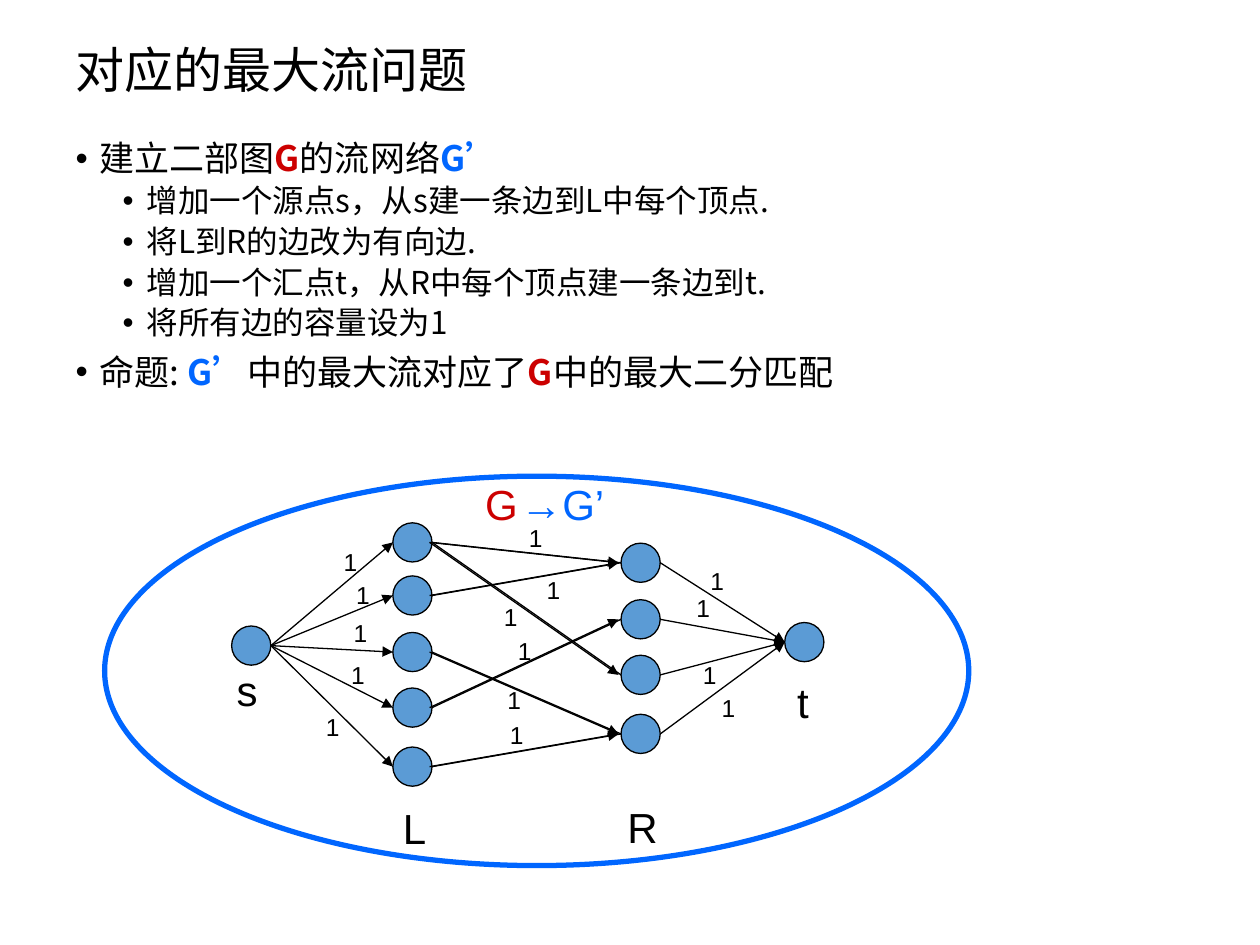
import pptx
import pptx.util
import pptx.enum.shapes
import pptx.enum.text
import pptx.oxml
import pptx.oxml.ns
import pptx.dml.color

Cm, Pt = pptx.util.Cm, pptx.util.Pt
KIND = pptx.enum.shapes.MSO_SHAPE
STRAIGHT = pptx.enum.shapes.MSO_CONNECTOR.STRAIGHT
ALIGN = pptx.enum.text.PP_ALIGN
ANCHOR = pptx.enum.text.MSO_ANCHOR
FIT = pptx.enum.text.MSO_AUTO_SIZE

COLORS = {"black": "000000", "red": "CC0000", "blue": "0066FF", "node": "5B9BD5"}
CJK, LATIN = "Noto Sans CJK SC", "Arial"

# Content: each line is a level and its runs (text, colour)
TITLE = "对应的最大流问题"
LINES = [
    (0, [("建立二部图", "black"), ("G", "red"), ("的流网络", "black"), ("G’", "blue")]),
    (1, [("增加一个源点s，从s建一条边到L中每个顶点.", "black")]),
    (1, [("将L到R的边改为有向边.", "black")]),
    (1, [("增加一个汇点t，从R中每个顶点建一条边到t.", "black")]),
    (1, [("将所有边的容量设为1", "black")]),
    (0, [("命题: ", "black"), ("G’", "blue"), ("中的最大流对应了", "black"),
         ("G", "red"), ("中的最大二分匹配", "black")]),
]
LEVELS = [  # size, space before, left margin in cm
    {"size": 20, "before": 7.5, "left": 0.48},
    {"size": 18, "before": 3.8, "left": 1.43},
]

# Graph: left edge of each column and the tops of its nodes, in cm
SIZE = 0.79
NODES = {
    "s": (4.67, [12.62]),
    "L": (7.92, [10.54, 11.61, 12.75, 13.87, 15.06]),
    "R": (12.52, [10.95, 12.09, 13.21, 14.40]),
    "t": (15.82, [12.55]),
}
MATCH = [(0, 0), (0, 2), (3, 1), (4, 3), (1, 0), (2, 3)]
RING = (2.11, 9.6, 17.42, 7.85)
NAMES = [  # text, left, top, width, colour
    ("s", 4.52, 13.28, 0.99, "black"),
    ("L", 7.87, 16.05, 1.02, "black"),
    ("R", 12.40, 16.03, 1.12, "black"),
    ("t", 15.82, 13.51, 0.79, "black"),
    ("G", 9.53, 9.53, 1.17, "red"),
    ("→G’", 10.24, 9.53, 2.24, "blue"),
]
ONES = [  # places of the capacity labels
    (6.68, 10.90), (6.93, 11.56), (6.88, 12.34), (6.83, 13.18), (6.32, 14.22),
    (10.41, 10.41), (10.77, 11.46), (9.91, 12.01), (10.19, 12.70),
    (9.98, 13.69), (10.03, 14.40),
    (14.30, 13.84), (13.92, 13.18), (13.79, 11.84), (14.07, 11.28),
]


def apply(item, **values):
    for key, value in values.items():
        setattr(item, key, value)


def color(name):
    return pptx.dml.color.RGBColor.from_string(COLORS[name])


def add_tag(parent, tag, **values):
    node = pptx.oxml.parse_xml(f"<a:{tag} {pptx.oxml.ns.nsdecls('a')}/>")
    for key, value in values.items():
        node.set(key, value)
    parent.append(node)


def add_run(para, text, tint, face, size, bold=False):
    run = para.add_run()
    run.text = text
    apply(run.font, name=face, size=Pt(size), bold=bold)
    run.font.color.rgb = color(tint)
    add_tag(run.font._element, "ea", typeface=face)


def place(shape, left, top, width, height):
    apply(shape, left=Cm(left), top=Cm(top), width=Cm(width), height=Cm(height))


def add_oval(slide, box, fill, line, weight):
    oval = slide.shapes.add_shape(KIND.OVAL, *map(Cm, box))
    oval.shadow.inherit = False
    if fill:
        oval.fill.solid()
        oval.fill.fore_color.rgb = color(fill)
    else:
        oval.fill.background()
    oval.line.color.rgb = color(line)
    oval.line.width = Pt(weight)


def add_edge(slide, start, end, shift=0, arrow=True):
    """Join the right side of one node to the left side of another."""
    (col, row), (goal, spot) = start, end
    x1, y1 = NODES[col][0] + SIZE + shift, NODES[col][1][row] + SIZE / 2
    x2, y2 = NODES[goal][0] + shift, NODES[goal][1][spot] + SIZE / 2
    edge = slide.shapes.add_connector(STRAIGHT, Cm(x1), Cm(y1), Cm(x2), Cm(y2))
    edge.line.color.rgb = color("black")
    edge.line.width = Pt(0.75)
    if arrow:
        add_tag(edge.line._get_or_add_ln(), "tailEnd", type="triangle")
    add_tag(edge._element.spPr, "effectLst")


def add_label(slide, text, box, size, tint):
    frame = slide.shapes.add_textbox(*map(Cm, box)).text_frame
    apply(frame, word_wrap=False, auto_size=FIT.SHAPE_TO_FIT_TEXT)
    add_run(frame.paragraphs[0], text, tint, LATIN, size)


def fill_text(slide):
    # Title
    title, body = slide.shapes.title, slide.placeholders[1]
    place(title, 1.27, 0.76, 22.86, 1.4)
    apply(title.text_frame, vertical_anchor=ANCHOR.MIDDLE, auto_size=FIT.NONE)
    para = title.text_frame.paragraphs[0]
    apply(para, alignment=ALIGN.LEFT, line_spacing=0.9)
    add_run(para, TITLE, "black", CJK, 28)

    # Bullet list
    place(body, 1.27, 2.72, 23.29, 6.68)
    frame = body.text_frame
    apply(frame, vertical_anchor=ANCHOR.TOP, auto_size=FIT.NONE)
    for i, (level, runs) in enumerate(LINES):
        para = frame.add_paragraph() if i else frame.paragraphs[0]
        form = LEVELS[level]
        apply(para, level=level, line_spacing=0.9,
              space_before=Pt(form["before"]), space_after=Pt(0))
        props = para._p.get_or_add_pPr()
        props.set("marL", str(Cm(form["left"])))
        props.set("indent", str(-Cm(0.48)))
        add_tag(props, "buFont", typeface=LATIN)
        add_tag(props, "buChar", char="•")
        for text, tint in runs:
            add_run(para, text, tint, CJK, form["size"], tint != "black")


def draw_graph(slide):
    # Nodes
    for left, tops in NODES.values():
        for top in tops:
            add_oval(slide, (left, top, SIZE, SIZE), "node", "black", 0.75)

    # Edges: a plain line under each arrow from L to R
    for arrow, shift in ((False, 0), (True, -0.05)):
        for i, j in MATCH:
            add_edge(slide, ("L", i), ("R", j), shift, arrow)
    for i in range(len(NODES["L"][1])):
        add_edge(slide, ("s", 0), ("L", i))
    for j in range(len(NODES["R"][1])):
        add_edge(slide, ("R", j), ("t", 0))

    # Ring and labels
    add_oval(slide, RING, None, "blue", 3)
    for text, left, top, width, tint in NAMES:
        add_label(slide, text, (left, top, width, 1.27), 24, tint)
    for left, top in ONES:
        add_label(slide, "1", (left, top, 0.79, 0.84), 14, "black")


def main():
    deck = pptx.Presentation()
    apply(deck, slide_width=Cm(25.4), slide_height=Cm(19.05))
    slide = deck.slides.add_slide(deck.slide_layouts[1])
    fill_text(slide)
    draw_graph(slide)
    deck.save("out.pptx")


if __name__ == "__main__":
    main()
